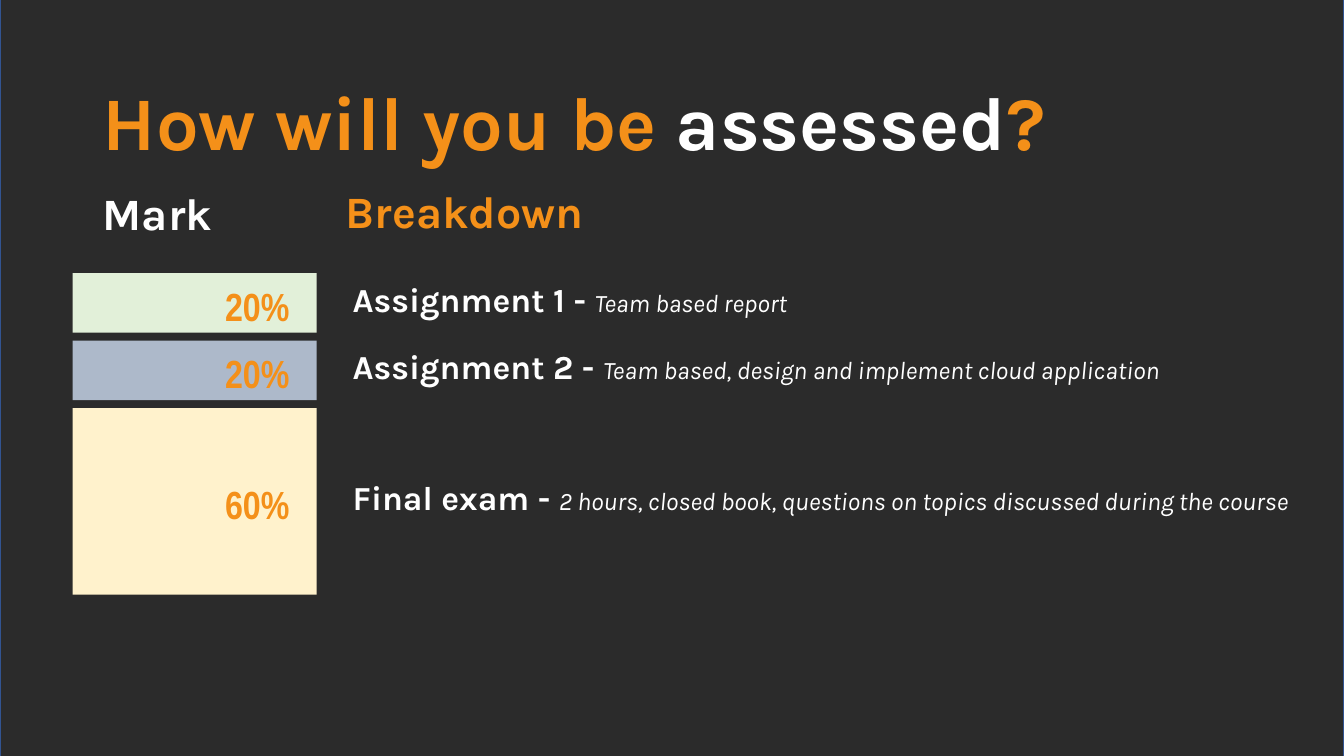
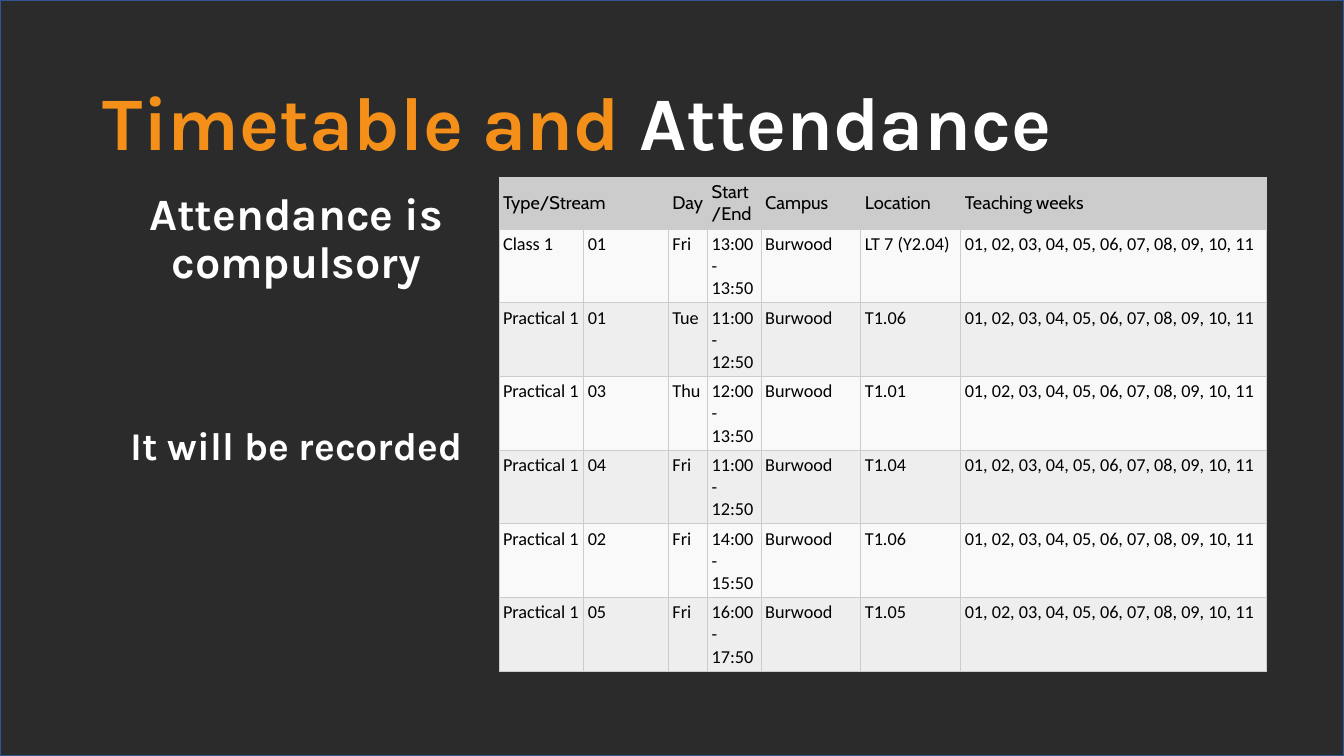
from lxml.etree import SubElement
from pptx import Presentation
from pptx.dml.color import RGBColor
from pptx.enum.shapes import MSO_SHAPE
from pptx.enum.text import MSO_ANCHOR, MSO_AUTO_SIZE, PP_ALIGN
from pptx.oxml.ns import qn
from pptx.util import Inches, Pt

# Shared palette and fonts
ORANGE, WHITE, BLACK = "F49019", "FFFFFF", "000000"
BACKDROP, OUTLINE, GRID = "404040", "325491", "CCCCCC"
ROW_FILLS = ("F9F9F9", "EEEEEE")
HEADING_FONT = "Karla"
TITLE_SIZE, HEADING_SIZE = 54, 32


def color(value):
    return RGBColor.from_string(value)


class CourseDeck:
    """Holds the style of the deck and the slide being built."""

    def __init__(self):
        self.deck = Presentation()
        self.deck.slide_width, self.deck.slide_height = Inches(13.33), Inches(7.5)
        self.page = None

    def style(self, span, size, shade, font=HEADING_FONT, bold=True, italic=False):
        span.font.name, span.font.size = font, Pt(size)
        span.font.bold, span.font.italic = bold, italic
        span.font.color.rgb = color(shade)

    def add_spans(self, para, spans):
        """Each span is (text, size, colour) with optional style settings."""
        for text, size, shade, *settings in spans:
            span = para.add_run()
            span.text = text
            self.style(span, size, shade, **(settings[0] if settings else {}))

    def new_page(self, title_spans, veil_top=0, veil_height=7.5):
        self.page = self.deck.slides.add_slide(self.deck.slide_layouts[5])
        self.page.background.fill.solid()
        self.page.background.fill.fore_color.rgb = color(BACKDROP)
        # Dark veil behind everything else
        veil = self.rectangle(0, veil_top, 13.33, veil_height, BLACK)
        veil.line.color.rgb = color(OUTLINE)
        veil.line.width = Pt(1)
        shade = veil.fill._xPr.find(qn("a:solidFill"))[0]
        SubElement(shade, qn("a:alpha"), val="32000")
        self.page.shapes._spTree.insert(2, veil._element)
        # Title
        title = self.page.shapes.title
        title.left, title.top = Inches(0.92), Inches(0.52)
        title.width, title.height = Inches(11.5), Inches(1.45)
        frame = title.text_frame
        frame.auto_size = MSO_AUTO_SIZE.NONE
        frame.vertical_anchor = MSO_ANCHOR.MIDDLE
        para = frame.paragraphs[0]
        para.alignment, para.line_spacing = PP_ALIGN.LEFT, 0.9
        self.add_spans(para, [(text, TITLE_SIZE, shade) for text, shade in title_spans])

    def rectangle(self, left, top, width, height, fill):
        shape = self.page.shapes.add_shape(
            MSO_SHAPE.RECTANGLE, Inches(left), Inches(top), Inches(width), Inches(height))
        shape.shadow.inherit = False
        shape.fill.solid()
        shape.fill.fore_color.rgb = color(fill)
        shape.line.fill.background()
        return shape

    def mark_bar(self, top, height, fill, mark):
        frame = self.rectangle(0.72, top, 2.42, height, fill).text_frame
        frame.margin_right, frame.margin_bottom = Inches(0.27), 0
        frame.vertical_anchor = MSO_ANCHOR.MIDDLE
        frame.paragraphs[0].alignment = PP_ALIGN.RIGHT
        self.add_spans(frame.paragraphs[0], [(mark, 28, ORANGE, {"font": "Arial Narrow"})])

    def text(self, left, top, width, height, paragraphs,
             align=PP_ALIGN.LEFT, spacing=0.9, gap=0):
        """Each paragraph is a list of spans; gap is the space between them."""
        box = self.page.shapes.add_textbox(
            Inches(left), Inches(top), Inches(width), Inches(height))
        frame = box.text_frame
        frame.word_wrap = True
        for index, spans in enumerate(paragraphs):
            para = frame.add_paragraph() if index else frame.paragraphs[0]
            para.alignment, para.line_spacing = align, spacing
            if index:
                para.space_before = Pt(gap)
            self.add_spans(para, spans)

    def cell(self, cell, text, fill, font, anchor):
        cell.margin_left = cell.margin_right = Inches(0.04)
        cell.margin_top = cell.margin_bottom = Inches(0.04)
        cell.vertical_anchor = anchor
        properties = cell._tc.get_or_add_tcPr()
        for side in ("lnL", "lnR", "lnT", "lnB"):
            border = SubElement(properties, qn(f"a:{side}"), w=str(Pt(0.75)))
            SubElement(SubElement(border, qn("a:solidFill")), qn("a:srgbClr"), val=GRID)
        cell.fill.solid()
        cell.fill.fore_color.rgb = color(fill)
        if text:
            self.add_spans(cell.text_frame.paragraphs[0],
                           [(text, 13, BLACK, {"font": font, "bold": False})])

    def table(self, left, top, widths, heights, rows):
        table = self.page.shapes.add_table(
            len(rows), len(widths), Inches(left), Inches(top),
            Inches(sum(widths)), Inches(sum(heights))).table
        table.first_row = table.horz_banding = False
        for column, width in zip(table.columns, widths):
            column.width = Inches(width)
        for index, (row, height) in enumerate(zip(rows, heights)):
            table.rows[index].height = Inches(height)
            if index == 0:
                look = (GRID, "Cabin", MSO_ANCHOR.MIDDLE)
            else:
                look = (ROW_FILLS[(index - 1) % 2], "Calibri", MSO_ANCHOR.TOP)
            for column, text in enumerate(row):
                self.cell(table.cell(index, column), text, *look)
        return table


def add_assessment(deck):
    deck.new_page([("How will you be ", ORANGE), ("assessed", WHITE), ("?", ORANGE)],
                  veil_top=-0.1, veil_height=7.9)
    deck.text(0.92, 1.85, 2.41, 0.66, [[("Mark", HEADING_SIZE, WHITE)]])
    deck.text(3.33, 1.83, 9.62, 0.66, [[("Breakdown", HEADING_SIZE, ORANGE)]])

    # Stacked bars, each with its label beside it
    parts = [
        ("20%", 0.59, "E2F0D9", "Assignment 1 - ", "Team based report"),
        ("20%", 0.59, "ADB9CA", "Assignment 2 - ",
         "Team based, design and implement cloud application"),
        ("60%", 1.85, "FFF2CC", "Final exam - ",
         "2 hours, closed book, questions on topics discussed during the course"),
    ]
    top = 2.71
    for mark, height, fill, name, detail in parts:
        deck.mark_bar(top, height, fill, mark)
        deck.text(3.4, top + height / 2 - 0.29, 9.9, 0.5,
                  [[(name, 24, WHITE),
                    (detail, 18, WHITE, {"bold": False, "italic": True})]], spacing=1)
        top += height + 0.08


def add_timetable(deck):
    deck.new_page([("Timetable and ", ORANGE), ("Attendance", WHITE)])
    deck.text(0.92, 1.85, 4.04, 4.76,
              [[("Attendance is compulsory", HEADING_SIZE, WHITE)],
               [("It will be recorded", 28, WHITE)]],
              align=PP_ALIGN.CENTER, gap=99)

    # Timetable
    weeks = ", ".join(f"{week:02}" for week in range(1, 12))
    sessions = [
        ("Class 1", "01", "Fri", "13:00-13:50", "LT 7 (Y2.04)"),
        ("Practical 1", "01", "Tue", "11:00-12:50", "T1.06"),
        ("Practical 1", "03", "Thu", "12:00-13:50", "T1.01"),
        ("Practical 1", "04", "Fri", "11:00-12:50", "T1.04"),
        ("Practical 1", "02", "Fri", "14:00-15:50", "T1.06"),
        ("Practical 1", "05", "Fri", "16:00-17:50", "T1.05"),
    ]
    rows = [("Type/Stream", "", "Day", "Start/End", "Campus", "Location", "Teaching weeks")]
    rows += [(*session[:4], "Burwood", session[4], weeks) for session in sessions]
    table = deck.table(4.95, 1.76, [0.84, 0.84, 0.39, 0.53, 0.99, 0.99, 3.03],
                       [0.5] + [0.73] * len(sessions), rows)
    table.cell(0, 0).merge(table.cell(0, 1))


def main():
    deck = CourseDeck()
    add_assessment(deck)
    add_timetable(deck)
    deck.deck.save("out.pptx")


if __name__ == "__main__":
    main()
